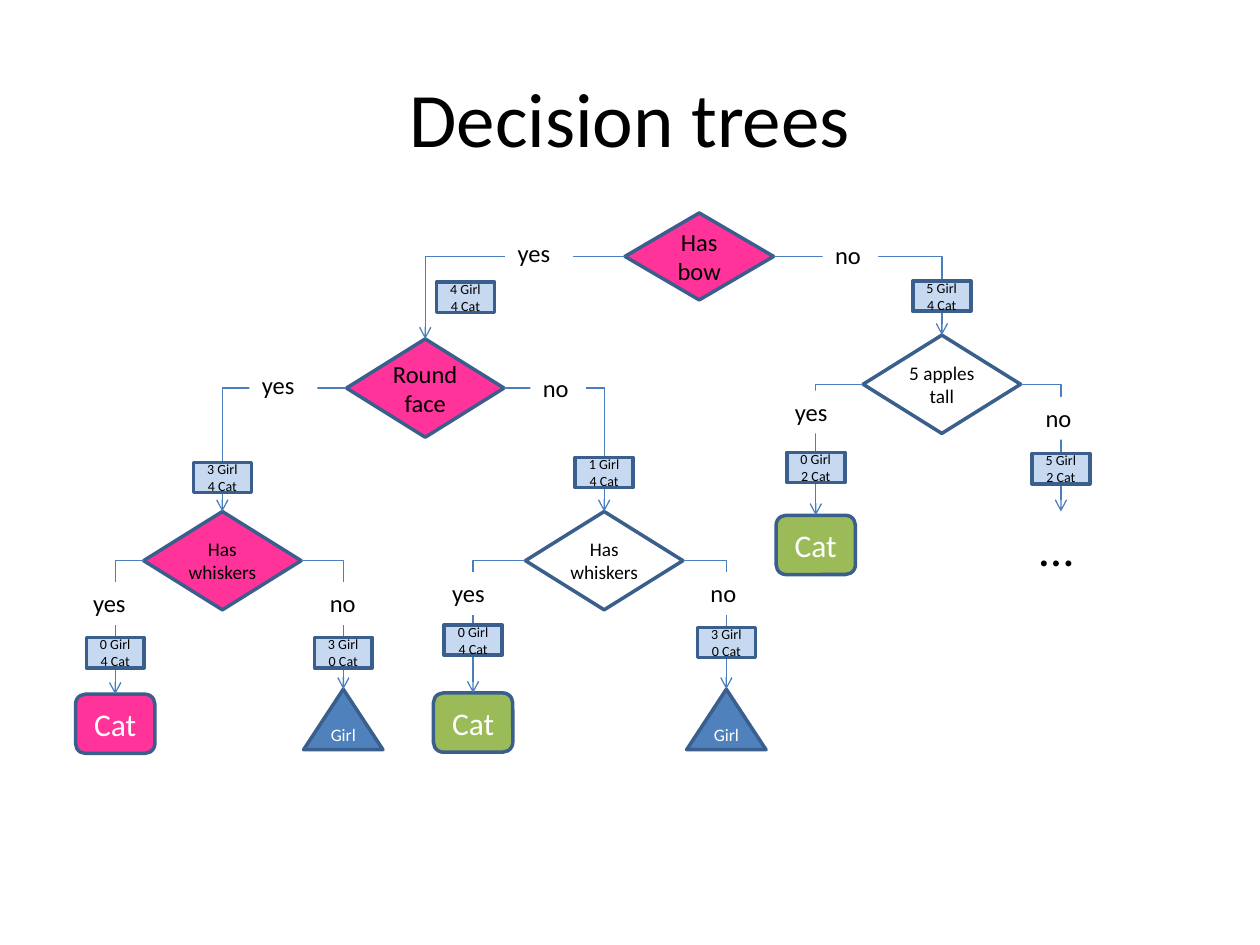
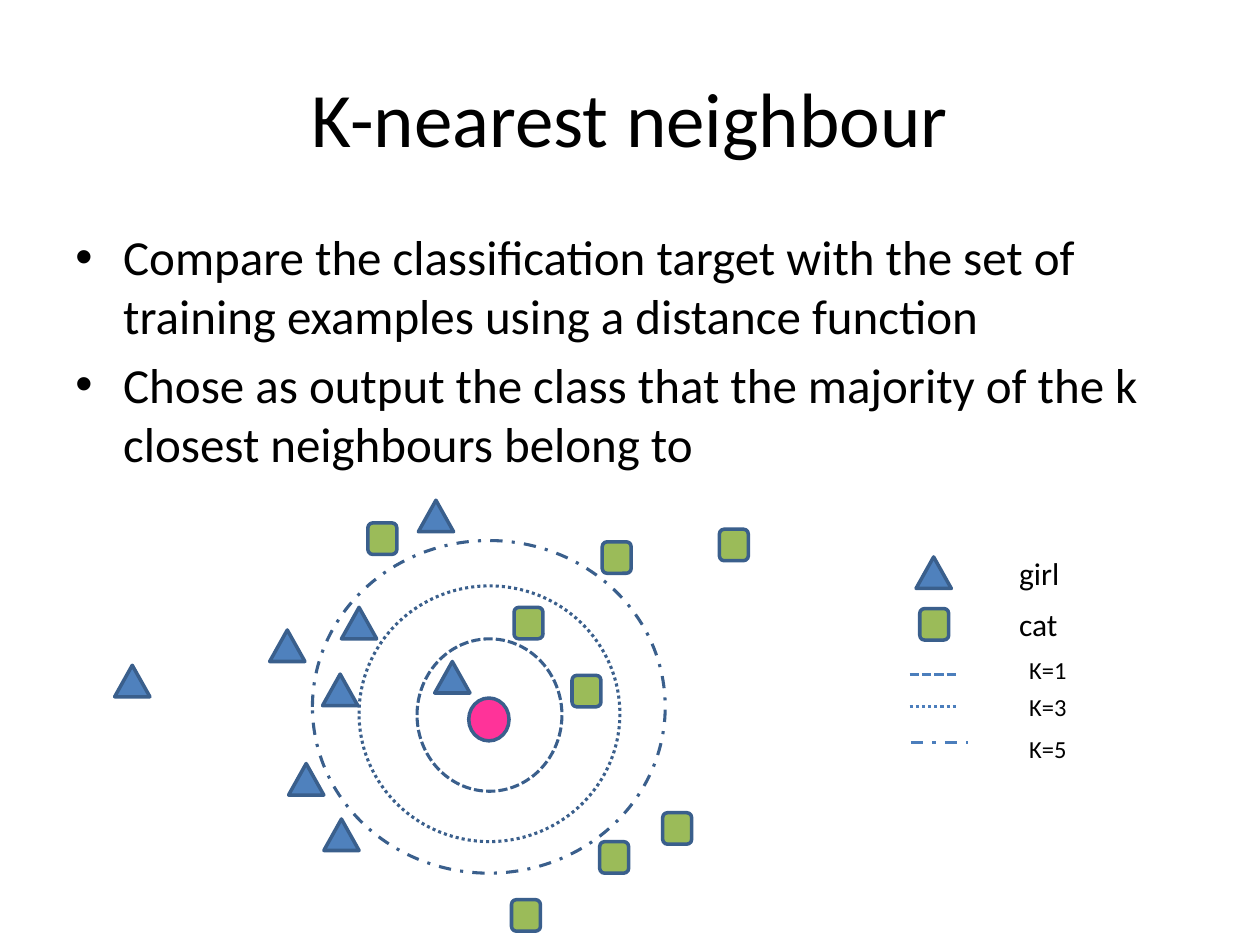
import pptx
import pptx.util
import pptx.dml.color
import pptx.enum.dml
import pptx.enum.shapes
import pptx.enum.text
import pptx.oxml.ns
from lxml import etree

Inches, Pt = pptx.util.Inches, pptx.util.Pt
RGBColor = pptx.dml.color.RGBColor
SHAPE = pptx.enum.shapes.MSO_SHAPE
CONNECTOR = pptx.enum.shapes.MSO_CONNECTOR
DASH = pptx.enum.dml.MSO_LINE
ALIGN = pptx.enum.text.PP_ALIGN
ANCHOR = pptx.enum.text.MSO_ANCHOR
qn = pptx.oxml.ns.qn

# Shared look
FONT = "Calibri"
BLACK = RGBColor(0x00, 0x00, 0x00)
WHITE = RGBColor(0xFF, 0xFF, 0xFF)
OUTLINE = RGBColor(0x3A, 0x5F, 0x8C)
LINK = RGBColor(0x4B, 0x7E, 0xBC)
PINK = RGBColor(0xFF, 0x33, 0x99)
GREEN = RGBColor(0x9B, 0xBB, 0x59)
BLUE = RGBColor(0x4F, 0x81, 0xBD)
PALE = RGBColor(0xC6, 0xD9, 0xF1)

TEXT_INSETS = (0.1, 0.05)
DIAMOND_INSETS = (0.04, 0.04)
ANSWER_INSETS = (0.04, 0.05)
COUNT_INSETS = (0, 0.04)
COUNT_W, COUNT_H = 0.46, 0.24
LABEL_WIDTHS = {"yes": 0.54, "no": 0.44}

# Decision tree: name -> shape, text, left, top, width, height, fill, size
NODES = {
    "bow": (SHAPE.FLOWCHART_DECISION, "Has bow", 4.36, 0, 1.18, 0.69, PINK, 14),
    "face": (SHAPE.FLOWCHART_DECISION, "Round face", 2.15, 1, 1.25, 0.78, PINK, 14),
    "apples": (SHAPE.FLOWCHART_DECISION, "5 apples tall", 6.25, 0.97, 1.25, 0.78, WHITE, 11),
    "whiskers 1": (SHAPE.FLOWCHART_DECISION, "Has whiskers", 0.54, 2.37, 1.25, 0.78, PINK, 11),
    "whiskers 2": (SHAPE.FLOWCHART_DECISION, "Has whiskers", 3.57, 2.37, 1.25, 0.78, WHITE, 11),
    "cat 1": (SHAPE.ROUNDED_RECTANGLE, "Cat", 0, 3.82, 0.63, 0.47, PINK, 18),
    "girl 1": (SHAPE.ISOSCELES_TRIANGLE, "Girl", 1.81, 3.78, 0.63, 0.48, BLUE, 10),
    "cat 2": (SHAPE.ROUNDED_RECTANGLE, "Cat", 2.84, 3.81, 0.63, 0.47, GREEN, 18),
    "girl 2": (SHAPE.ISOSCELES_TRIANGLE, "Girl", 4.85, 3.78, 0.63, 0.48, BLUE, 10),
    "cat 3": (SHAPE.ROUNDED_RECTANGLE, "Cat", 5.56, 2.4, 0.63, 0.47, GREEN, 18),
}
# parent, answer, child, girls, cats, count top, count shift, label left, label top
BRANCHES = [
    ("bow", "yes", "face", 4, 4, 0.55, 0.32, 3.41, 0.15),
    ("bow", "no", "apples", 5, 4, 0.54, 0, 5.93, 0.17),
    ("face", "yes", "whiskers 1", 3, 4, 1.98, 0, 1.38, 1.2),
    ("face", "no", "whiskers 2", 1, 4, 1.94, 0, 3.61, 1.22),
    ("whiskers 1", "yes", "cat 1", 0, 4, 3.37, 0, 0.04, 2.93),
    ("whiskers 1", "no", "girl 1", 3, 0, 3.37, 0, 1.92, 2.93),
    ("whiskers 2", "yes", "cat 2", 0, 4, 3.27, 0, 2.89, 2.85),
    ("whiskers 2", "no", "girl 2", 3, 0, 3.29, 0, 4.94, 2.85),
    ("apples", "yes", "cat 3", 0, 2, 1.9, 0, 5.61, 1.41),
    ("apples", "no", "more", 5, 2, 1.91, 0, 7.6, 1.46),
]

# Neighbour plot
GIRLS = [(2.55, 1.35), (1.81, 0.92), (1.66, 1.45), (1.67, 2.6),
         (0.01, 1.38), (1.39, 2.16), (2.42, 0.07), (1.24, 1.1)]
CATS = [(3.64, 1.46), (3.18, 0.92), (3.88, 0.4), (3.86, 2.78),
        (4.36, 2.55), (2.02, 0.25), (4.81, 0.3), (3.16, 3.24)]
# dash, left, top, width, height
RINGS = [
    (DASH.SQUARE_DOT, 2.41, 1.17, 1.15, 1.21),
    (DASH.ROUND_DOT, 1.95, 0.75, 2.07, 2.03),
    (DASH.DASH_DOT, 1.58, 0.39, 2.8, 2.64),
]
# text, dash, line left, line top, line length, label top
RING_KEYS = [
    ("K=1", DASH.SQUARE_DOT, 0.02, 1, 0.37, 0.8),
    ("K=3", DASH.ROUND_DOT, 0.02, 1.26, 0.38, 1.09),
    ("K=5", DASH.DASH_DOT, 0.03, 1.54, 0.45, 1.43),
]


def write(tf, text, size, color=BLACK, align=ALIGN.LEFT, anchor=ANCHOR.TOP,
          insets=TEXT_INSETS, wrap=True):
    tf.text = text
    tf.word_wrap = wrap
    tf.vertical_anchor = anchor
    tf.margin_left = tf.margin_right = Inches(insets[0])
    tf.margin_top = tf.margin_bottom = Inches(insets[1])
    for p in tf.paragraphs:
        p.alignment = align
        for r in p.runs:
            r.font.name = FONT
            r.font.size = Pt(size)
            r.font.color.rgb = color


def add_shape(s, kind, left, top, width, height, fill=None, line=2, dash=None):
    sp = s.shapes.add_shape(kind, Inches(left), Inches(top), Inches(width), Inches(height))
    sp.shadow.inherit = False
    if fill is None:
        sp.fill.background()
    else:
        sp.fill.solid()
        sp.fill.fore_color.rgb = fill
    if line:
        sp.line.color.rgb = OUTLINE
        sp.line.width = Pt(line)
        if dash is not None:
            sp.line.dash_style = dash
    else:
        sp.line.fill.background()
    return sp


def style_connector(cx, width):
    cx.line.color.rgb = LINK
    cx.line.width = Pt(width)
    etree.SubElement(cx._element.spPr, qn("a:effectLst"))


def add_title_slide(prs, title):
    s = prs.slides.add_slide(prs.slide_layouts[5])
    sp = s.shapes.title
    sp.left, sp.top = Inches(0.5), Inches(0.3)
    sp.width, sp.height = Inches(9), Inches(1.25)
    write(sp.text_frame, title, 44, align=ALIGN.CENTER, anchor=ANCHOR.MIDDLE)
    return s


def add_label(s, text, left, top, width, height, size=14):
    sp = add_shape(s, SHAPE.RECTANGLE, left, top, width, height, WHITE, line=0)
    write(sp.text_frame, text, size)
    return sp


def add_node(s, left, top, kind, text, x, y, width, height, fill, size):
    sp = add_shape(s, kind, left + x, top + y, width, height, fill)
    is_question = kind == SHAPE.FLOWCHART_DECISION
    if text == "Has bow":
        insets = TEXT_INSETS
    else:
        insets = DIAMOND_INSETS if is_question else ANSWER_INSETS
    write(sp.text_frame, text, size, BLACK if is_question else WHITE,
          ALIGN.CENTER, ANCHOR.MIDDLE, insets)
    return sp


def add_branch_arrow(s, parent, answer, child):
    """Run sideways out of the parent, then down to the top of the child."""
    cx = s.shapes.add_connector(CONNECTOR.ELBOW, 0, 0, 0, 0)
    cx.begin_connect(parent, 1 if answer == "yes" else 3)
    cx.end_connect(child, 0)
    spPr = cx._element.spPr
    spPr.find(qn("a:prstGeom")).set("prst", "bentConnector2")
    style_connector(cx, 0.75)
    etree.SubElement(spPr.find(qn("a:ln")), qn("a:tailEnd"), type="arrow")


def add_tree(s, left, top):
    nodes = {name: add_node(s, left, top, *node) for name, node in NODES.items()}
    nodes["more"] = add_label(s, "…", left + 7.55, top + 2.37, 0.54, 0.57, 28)
    for parent, answer, child, *_ in BRANCHES:
        add_branch_arrow(s, nodes[parent], answer, nodes[child])
    # Counts sit centred above their child, over the arrow
    for _, answer, child, girls, cats, count_y, shift, label_x, label_y in BRANCHES:
        sp = nodes[child]
        middle = (sp.left + sp.width / 2) / Inches(1)
        count = add_shape(s, SHAPE.FLOWCHART_PROCESS, middle - COUNT_W / 2 + shift,
                          top + count_y, COUNT_W, COUNT_H, PALE)
        write(count.text_frame, f"{girls} Girl\n{cats} Cat", 8, BLACK,
              ALIGN.CENTER, ANCHOR.MIDDLE, COUNT_INSETS)
        add_label(s, answer, left + label_x, top + label_y, LABEL_WIDTHS[answer], 0.34)


def add_bullets(s, left, top, width, height, items):
    tb = s.shapes.add_textbox(Inches(left), Inches(top), Inches(width), Inches(height))
    write(tb.text_frame, "\n".join(items), 28)
    for p in tb.text_frame.paragraphs:
        p.space_before = Pt(5.6)
        pPr = p._p.get_or_add_pPr()
        pPr.set("marL", str(Inches(0.38)))
        pPr.set("indent", str(-Inches(0.38)))
        etree.SubElement(pPr, qn("a:buFont"), typeface="Arial")
        etree.SubElement(pPr, qn("a:buChar"), char="•")


def add_girl(s, left, top):
    add_shape(s, SHAPE.ISOSCELES_TRIANGLE, left, top, 0.28, 0.25, BLUE)


def add_cat(s, left, top):
    add_shape(s, SHAPE.ROUNDED_RECTANGLE, left, top, 0.23, 0.25, GREEN)


def add_neighbour_plot(s, left, top):
    add_shape(s, SHAPE.OVAL, left + 2.82, top + 1.64, 0.32, 0.34, PINK)
    for add_marker, points in ((add_girl, GIRLS), (add_cat, CATS)):
        for x, y in points:
            add_marker(s, left + x, top + y)
    for dash, x, y, width, height in RINGS:
        add_shape(s, SHAPE.OVAL, left + x, top + y, width, height, line=1.75, dash=dash)


def add_key_text(s, text, left, top, height, size):
    tb = s.shapes.add_textbox(Inches(left), Inches(top), Inches(0.52), Inches(height))
    write(tb.text_frame, text, size, wrap=False)


def add_legend(s, left, top):
    add_girl(s, left + 0.07, top + 0.07)
    add_cat(s, left + 0.1, top + 0.48)
    for i, text in enumerate(("girl", "cat")):
        add_key_text(s, text, left + 0.79, top + 0.4 * i, 0.4, 18)
    for text, dash, x, y, length, label_y in RING_KEYS:
        cx = s.shapes.add_connector(CONNECTOR.STRAIGHT, Inches(left + x), Inches(top + y),
                                    Inches(left + x + length), Inches(top + y))
        style_connector(cx, 1.75)
        cx.line.dash_style = dash
        add_key_text(s, text, left + 0.87, top + label_y, 0.34, 14)


def main():
    prs = pptx.Presentation()
    prs.slide_width, prs.slide_height = Inches(10), Inches(7.5)

    # Decision trees
    s = add_title_slide(prs, "Decision trees")
    add_tree(s, 0.6, 1.69)

    # K-nearest neighbour
    s = add_title_slide(prs, "K-nearest neighbour")
    add_bullets(s, 0.5, 1.75, 9, 4.95, [
        "Compare the classification target with the set of training examples "
        "using a distance function",
        "Chose as output the class that the majority of the k closest "
        "neighbours belong to",
    ])
    add_neighbour_plot(s, 0.9, 3.9)
    add_legend(s, 7.2, 4.35)

    prs.save("out.pptx")


if __name__ == "__main__":
    main()
